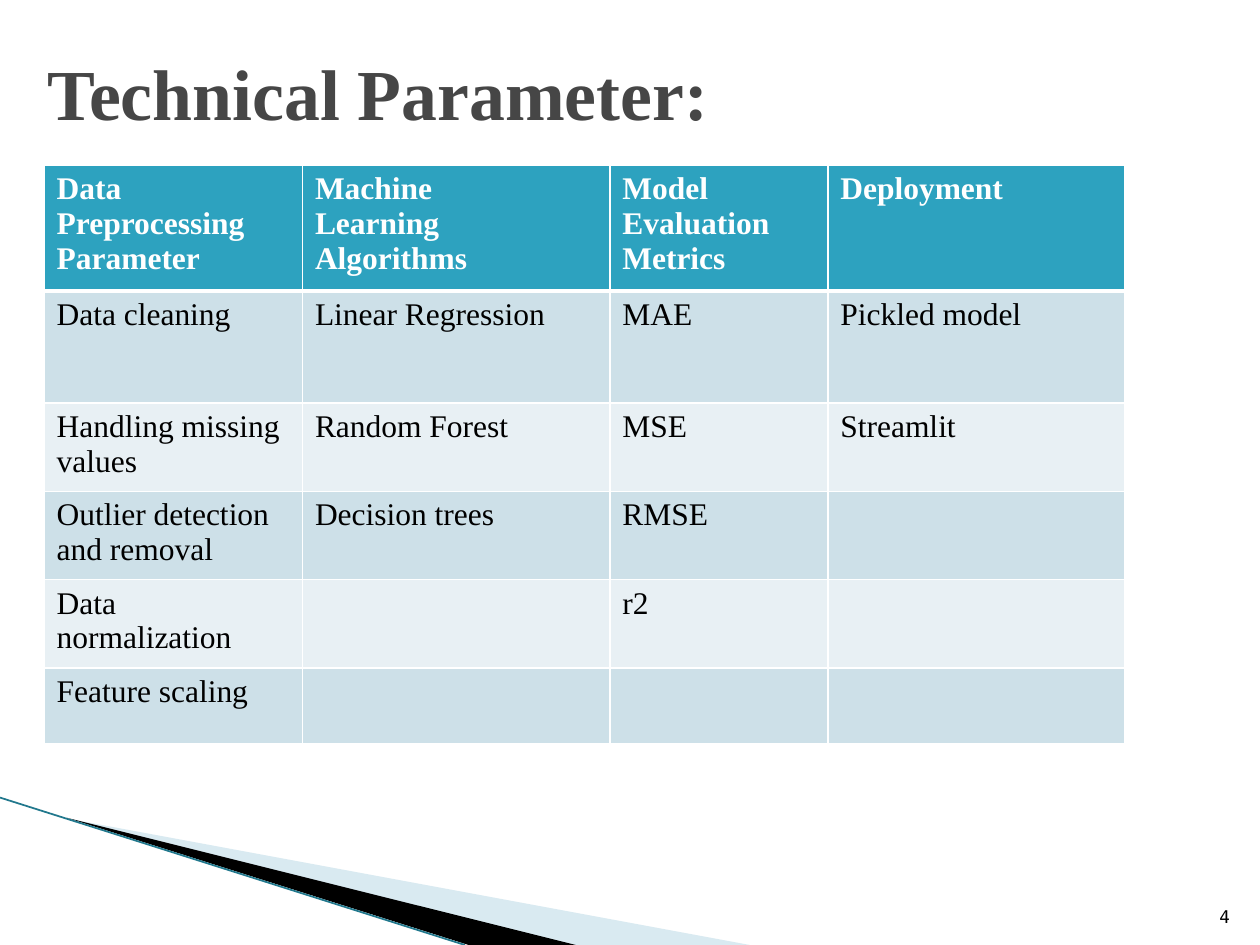
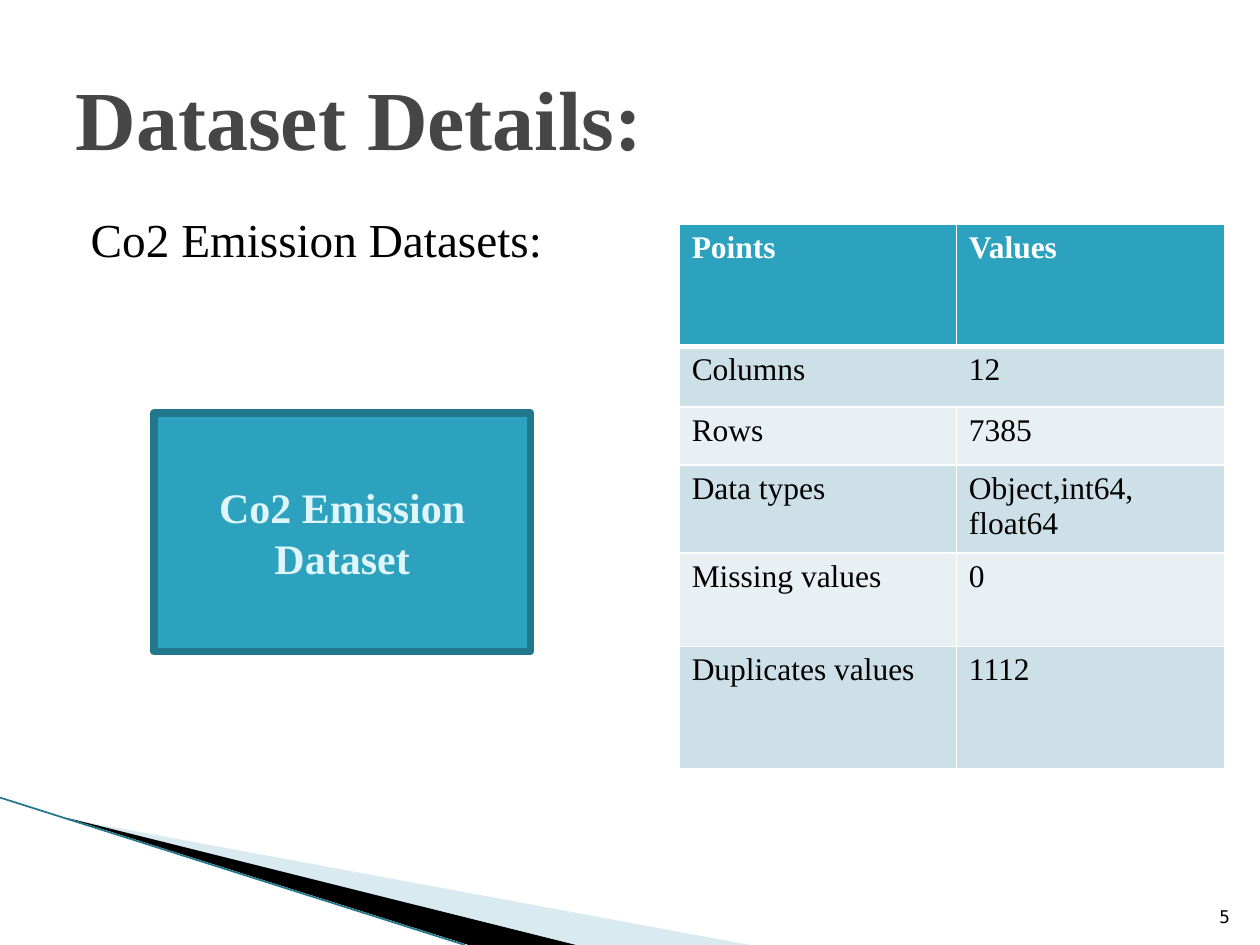
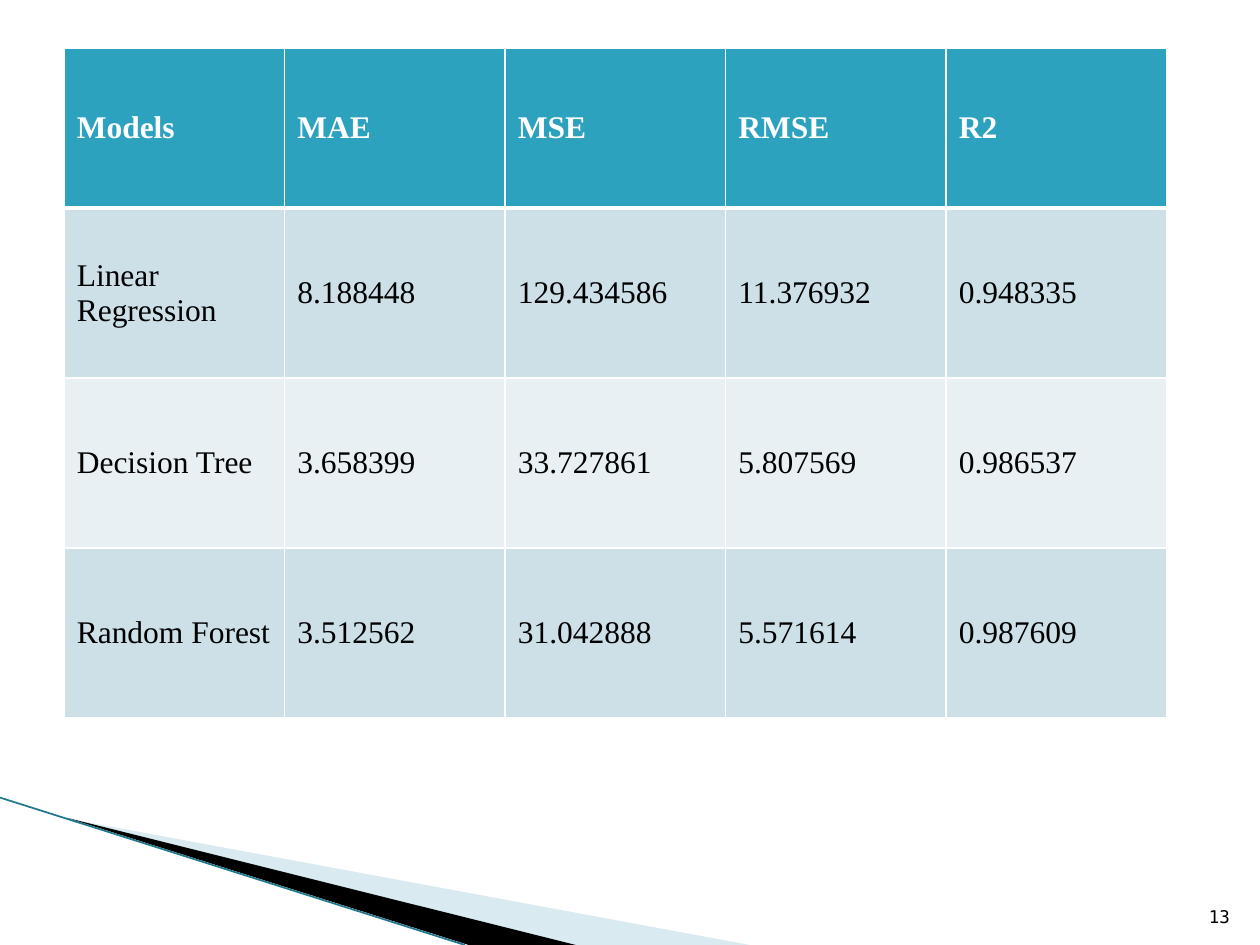
from dataclasses import dataclass

from lxml.etree import SubElement
from pptx import Presentation
from pptx.dml.color import RGBColor as Rgb
from pptx.enum.shapes import MSO_CONNECTOR as Connector, MSO_SHAPE as Preset
from pptx.enum.text import MSO_ANCHOR as Anchor, MSO_AUTO_SIZE as AutoSize, PP_ALIGN as Align
from pptx.oxml.ns import qn
from pptx.util import Inches, Pt


@dataclass(frozen=True)
class Theme:
    serif: str = "Times New Roman"
    mono: str = "DejaVu Sans Mono"
    white: str = "FFFFFF"
    ink: str = "000000"
    heading: str = "464646"
    accent: str = "2DA2BF"
    accent_dark: str = "21788D"
    accent_pale: str = "DEF5FA"
    wedge: str = "A0CBDC"
    odd_row: str = "CDE0E8"
    even_row: str = "E8F0F4"
    page_size: int = 10
    cell_size: int = 18
    box_size: int = 24
    body_size: int = 27
    thin: int = 1
    thick: int = 3


THEME = Theme()
WIDTH, HEIGHT = Inches(10), Inches(7.5)
COLUMNS, ROWS = 10, 7.5
TITLE_ONLY, BLANK = 5, 6
PLAIN_TABLE = "{2D5ABB26-0587-4C30-8999-92F81FD0307C}"


def across(columns):
    return round(WIDTH * columns / COLUMNS)


def down(rows):
    return round(HEIGHT * rows / ROWS)


def place(left, top, width, height):
    return across(left), down(top), across(width), down(height)


def apply(target, values):
    for name, value in values.items():
        setattr(target, name, value)


def write(frame, text, size, color, bold=False, font=THEME.serif, **para_format):
    frame.text = text
    for para in frame.paragraphs:
        apply(para, para_format)
        for span in para.runs:
            apply(span.font, {"name": font, "size": Pt(size), "bold": bold})
            span.font.color.rgb = Rgb.from_string(color)


def paint(target, color):
    target.fill.solid()
    target.fill.fore_color.rgb = Rgb.from_string(color)


def add_title(page, text, area, size):
    title = page.shapes.title
    apply(title, dict(zip(("left", "top", "width", "height"), place(*area))))
    apply(title.text_frame, {"vertical_anchor": Anchor.MIDDLE,
                             "auto_size": AutoSize.NONE, "word_wrap": True})
    write(title.text_frame, text, size, THEME.heading, True, alignment=Align.LEFT)


def add_text(page, text, area, size, anchor=Anchor.TOP, **text_format):
    box = page.shapes.add_textbox(*place(*area))
    apply(box.text_frame, {"word_wrap": True, "vertical_anchor": anchor})
    write(box.text_frame, text, size, THEME.ink, **text_format)
    return box


def add_page_number(page, number):
    add_text(page, str(number), (9.46, 7.01, 0.4, 0.4), THEME.page_size,
             Anchor.BOTTOM, font=THEME.mono, alignment=Align.RIGHT)


def add_wedge(page, points, color, opacity=100):
    start, *rest = [(across(x), down(y)) for x, y in points]
    builder = page.shapes.build_freeform(*start)
    builder.add_line_segments(rest)
    wedge = builder.convert_to_shape()
    wedge.shadow.inherit = False
    paint(wedge, color)
    wedge.line.fill.background()
    tint = wedge.element.spPr.find(qn("a:solidFill"))[0]
    SubElement(tint, qn("a:alpha"), val=str(opacity * 1000))
    return wedge


def add_edge(page, start, end):
    edge = page.shapes.add_connector(
        Connector.STRAIGHT, across(start[0]), down(start[1]), across(end[0]), down(end[1]))
    edge.line.width = Pt(THEME.thin)
    edge.line.color.rgb = Rgb.from_string(THEME.accent_dark)
    SubElement(edge.element.spPr, qn("a:effectLst"))
    return edge


def move_corner_to_master(deck, page):
    corner = [
        add_wedge(page, [(0.55, 6.5), (5.95, 7.5), (4.56, 7.5)], THEME.wedge, 40),
        add_wedge(page, [(0.53, 6.49), (4.57, 7.5), (3.72, 7.5)], THEME.ink),
        add_edge(page, (0, 6.33), (3.69, 7.5)),
    ]
    for part in corner:
        deck.slide_master.shapes.element.append(part.element)


def add_label_box(page, text, area):
    box = page.shapes.add_shape(Preset.RECTANGLE, *place(*area))
    box.shadow.inherit = False
    paint(box, THEME.accent)
    box.line.color.rgb = Rgb.from_string(THEME.accent_dark)
    box.line.width = Pt(4.33)
    SubElement(box.element.spPr.find(qn("a:ln")), qn("a:round"))
    box.text_frame.vertical_anchor = Anchor.MIDDLE
    write(box.text_frame, text, THEME.box_size, THEME.accent_pale, True,
          alignment=Align.CENTER)


def add_border(cell, side, width):
    properties = cell._tc.get_or_add_tcPr()
    border = SubElement(properties, qn(f"a:ln{side}"), w=str(Pt(width)))
    if width:
        fill = SubElement(border, qn("a:solidFill"))
        SubElement(fill, qn("a:srgbClr"), val=THEME.white)
    else:
        SubElement(border, qn("a:noFill"))


def format_cell(cell, text, row, anchor, sides):
    for side, width in sides.items():
        add_border(cell, side, width)
    paint(cell, THEME.accent if row == 0 else THEME.odd_row if row % 2 else THEME.even_row)
    cell.vertical_anchor = anchor
    write(cell.text_frame, text, THEME.cell_size,
          THEME.white if row == 0 else THEME.ink, row == 0)


def add_grid(page, corner, widths, heights, records, anchor=Anchor.TOP, open_row=None):
    area = place(*corner, sum(widths), sum(heights))
    frame = page.shapes.add_table(len(heights), len(widths), *area)
    frame.element.find(".//" + qn("a:tableStyleId")).text = PLAIN_TABLE
    table = frame.table
    apply(table, {"first_row": False, "horz_banding": False})
    for column, width in zip(table.columns, widths):
        column.width = across(width)
    for line, height in zip(table.rows, heights):
        line.height = down(height)
    for row, record in enumerate(records):
        for column, text in enumerate(record):
            sides = dict.fromkeys("LRTB", THEME.thin)
            if row < 2:
                sides["T" if row else "B"] = THEME.thick
            if row == open_row:
                sides.update({"L": THEME.thin if column == 0 else 0,
                              "R": THEME.thin if column == len(record) - 1 else 0})
            format_cell(table.cell(row, column), text, row, anchor, sides)


def add_page(deck, layout, number):
    page = deck.slides.add_slide(deck.slide_layouts[layout])
    add_page_number(page, number)
    return page


def build_parameters(deck):
    page = add_page(deck, TITLE_ONLY, 4)
    move_corner_to_master(deck, page)
    add_title(page, "Technical Parameter:", (0.28, 0.3, 9.22, 0.85), 41)
    add_grid(page, (0.35, 1.31), [2.05, 2.44, 1.73, 2.36],
             [0.92, 0.89, 0.65, 0.65, 0.65, 0.6], [
        ("Data\nPreprocessing\nParameter", "Machine\nLearning\nAlgorithms",
         "Model Evaluation Metrics", "Deployment"),
        ("Data cleaning", "Linear Regression", "MAE", "Pickled model"),
        ("Handling missing values", "Random Forest", "MSE", "Streamlit"),
        ("Outlier detection and removal", "Decision trees", "RMSE", ""),
        ("Data normalization", "", "r2", ""),
        ("Feature scaling", "", "", ""),
    ])


def build_dataset(deck):
    page = add_page(deck, TITLE_ONLY, 5)
    add_title(page, "Dataset Details:", (0.5, 0.3, 9, 1.25), 48)
    body = add_text(page, "Co2 Emission Datasets:", (0.5, 1.62, 4.8, 0.6),
                    THEME.body_size, space_before=Pt(4))
    body.text_frame.margin_left += across(0.12)
    add_label_box(page, "Co2 Emission\vDataset", (1.22, 3.28, 2.99, 1.89))
    add_grid(page, (5.39, 1.78), [2.2, 2.13], [0.97, 0.48, 0.46, 0.65, 0.74, 0.97], [
        ("Points", "Values"),
        ("Columns", "12"),
        ("Rows", "7385"),
        ("Data types", "Object,int64,\nfloat64"),
        ("Missing values", "0"),
        ("Duplicates values", "1112"),
    ], open_row=1)


def build_scores(deck):
    page = add_page(deck, BLANK, 13)
    add_grid(page, (0.51, 0.38), [1.75] * 5, [1.27] + [1.35] * 3, [
        ("Models", "MAE", "MSE", "RMSE", "R2"),
        ("Linear Regression", "8.188448", "129.434586", "11.376932", "0.948335"),
        ("Decision Tree", "3.658399", "33.727861", "5.807569", "0.986537"),
        ("Random Forest", "3.512562", "31.042888", "5.571614", "0.987609"),
    ], Anchor.MIDDLE)


def main():
    deck = Presentation()
    apply(deck, {"slide_width": WIDTH, "slide_height": HEIGHT})
    for build in (build_parameters, build_dataset, build_scores):
        build(deck)
    deck.save("out.pptx")


if __name__ == "__main__":
    main()
